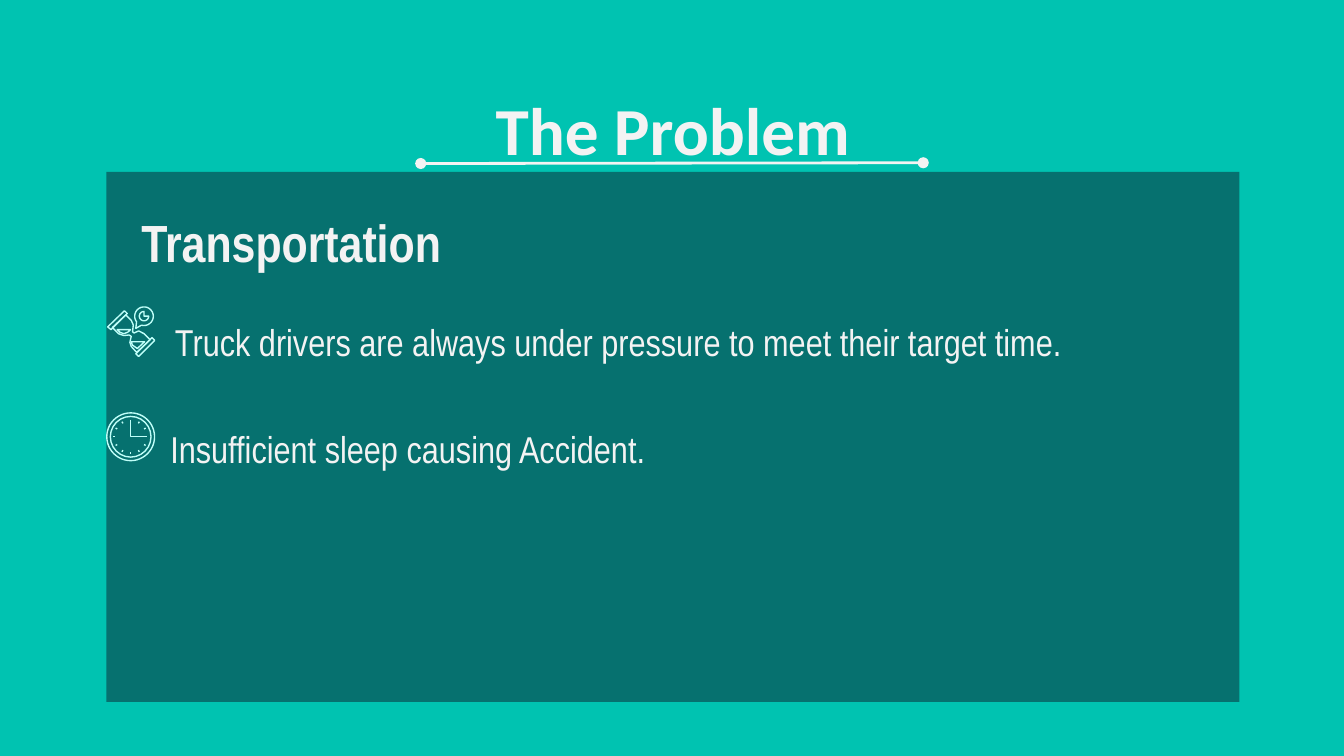
from math import cos, radians, sin

from lxml.etree import SubElement
from pptx import Presentation
from pptx.dml.color import RGBColor
from pptx.enum.shapes import MSO_CONNECTOR, MSO_SHAPE
from pptx.enum.text import MSO_ANCHOR, MSO_AUTO_SIZE, PP_ALIGN
from pptx.oxml.ns import qn
from pptx.util import Pt

TEAL = RGBColor(0x00, 0xC3, 0xB1)
DARK = RGBColor(0x0C, 0x34, 0x3D)
WHITE = RGBColor(0xF3, 0xF3, 0xF3)
MINT = RGBColor(0xC0, 0xFF, 0xF9)

LEFT, WIDTH = 57, 607
STROKE = 0.75

LINES = [
    ("Transportation", 28, True, 0, 0),
    ("Truck drivers are always under pressure to meet their target time.", 20, False, 18, 25),
    ("Insufficient sleep causing Accident.", 20, False, 15.5, 33),
]

HOURGLASS = [
    [(0.7, 11.2), (9.7, 2.5), (11.2, 4), (2.5, 12.6)],
    [(10.4, 4.7), (13.3, 7.6), (14.4, 10.1), (14, 13.7), (14.8, 14.4), (17.3, 13.3),
     (20.2, 14.8), (23.4, 18), (16.2, 24.8), (13.3, 21.6), (12.6, 19.4), (13.3, 16.2),
     (12.2, 15.5), (9.4, 15.8), (6.5, 14.8), (3.2, 11.5)],
    [(24.5, 16.9), (25.9, 18.4), (17.3, 27), (15.8, 25.6)],
    [(5.8, 12.6), (13, 12.6), (11.5, 14), (9.4, 14.8), (7.2, 14)],
    [(13.3, 19.1), (20.5, 19.1), (16.6, 22.7), (14, 20.9)],
]


def place(sp, x, y, w, h):
    sp.left, sp.top, sp.width, sp.height = Pt(x), Pt(y), Pt(w), Pt(h)


def set_frame(tf, side, top, bottom):
    tf.word_wrap = True
    tf.auto_size = MSO_AUTO_SIZE.NONE
    tf.vertical_anchor = MSO_ANCHOR.TOP
    tf.margin_left = tf.margin_right = Pt(side)
    tf.margin_top, tf.margin_bottom = Pt(top), Pt(bottom)


def set_font(p, name, size, bold):
    for r in p.runs:
        r.font.name, r.font.size, r.font.bold = name, Pt(size), bold
        r.font.color.rgb = WHITE


def add_title(s):
    sp = s.shapes.title
    place(sp, LEFT, 40, WIDTH, 45.5)
    tf = sp.text_frame
    set_frame(tf, 7.2, 7.2, 7.2)
    tf.text = "The Problem"
    p = tf.paragraphs[0]
    p.alignment = PP_ALIGN.CENTER
    set_font(p, "Calibri", 36, True)


def add_body(s):
    sp = s.placeholders[1]
    place(sp, LEFT, 92, WIDTH, 284)
    sp.fill.solid()
    sp.fill.fore_color.rgb = DARK
    color = next(sp.element.spPr.iter(qn("a:srgbClr")))
    SubElement(color, qn("a:alpha"), val="57000")
    tf = sp.text_frame
    set_frame(tf, 18.7, 20.5, 7.2)
    for i, (text, size, bold, indent, before) in enumerate(LINES):
        p = tf.paragraphs[0] if i == 0 else tf.add_paragraph()
        p.text = text
        pPr = p._p.get_or_add_pPr()
        pPr.set("marL", str(Pt(indent)))
        pPr.set("indent", "0")
        SubElement(pPr, qn("a:buNone"))
        p.alignment = PP_ALIGN.LEFT
        p.line_spacing = 1.0
        p.space_before, p.space_after = Pt(before), Pt(0)
        set_font(p, "Arial Narrow", size, bold)


def add_line(shapes, start, end, color, width):
    line = shapes.add_connector(MSO_CONNECTOR.STRAIGHT, *map(Pt, start + end))
    line.line.color.rgb = color
    line.line.width = Pt(width)
    SubElement(line.element.spPr, qn("a:effectLst"))
    return line


def add_rule(s):
    line = add_line(s.shapes, (225.4, 87.6), (494.6, 87.2), WHITE, 1.5)
    ln = line.element.spPr.find(qn("a:ln"))
    for end in ("a:headEnd", "a:tailEnd"):
        SubElement(ln, qn(end), type="oval")


def outline(sp):
    sp.fill.background()
    sp.line.color.rgb = MINT
    sp.line.width = Pt(STROKE)
    sp.shadow.inherit = False


def add_path(shapes, points, close=True):
    (x, y), *rest = [(Pt(px), Pt(py)) for px, py in points]
    builder = shapes.build_freeform(x, y)
    builder.add_line_segments(rest, close=close)
    outline(builder.convert_to_shape())


def polar(cx, cy, radius, angle):
    return cx + radius * cos(radians(angle)), cy + radius * sin(radians(angle))


def arc(cx, cy, radius, start, end, steps=24):
    return [polar(cx, cy, radius, start + (end - start) * i / steps) for i in range(steps + 1)]


def add_hourglass(s, x, y):
    shapes = s.shapes.add_group_shape().shapes
    for points in HOURGLASS:
        add_path(shapes, [(x + px, y + py) for px, py in points])
    cx, cy = x + 20.2, y + 5.4
    add_path(shapes, arc(cx, cy, 5, 143, 466) + [(x + 15.8, y + 11.9)])
    add_path(shapes, arc(cx, cy, 2.5, 0, 270) + [(cx, cy)])


def add_clock(s, cx, cy):
    shapes = s.shapes.add_group_shape().shapes
    for radius in (12.8, 10.9):
        outline(shapes.add_shape(MSO_SHAPE.OVAL, Pt(cx - radius), Pt(cy - radius),
                                 Pt(2 * radius), Pt(2 * radius)))
    for angle in range(30, 360, 30):
        if angle != 270:
            add_line(shapes, polar(cx, cy, 8.3, angle), polar(cx, cy, 9.3, angle), MINT, STROKE)
    add_path(shapes, [(cx, cy - 9), (cx, cy), (cx + 9, cy)], close=False)


def main():
    prs = Presentation()
    prs.slide_width, prs.slide_height = Pt(720), Pt(405)
    s = prs.slides.add_slide(prs.slide_layouts[1])
    s.background.fill.solid()
    s.background.fill.fore_color.rgb = TEAL
    add_title(s)
    add_body(s)
    add_rule(s)
    add_clock(s, 70, 234)
    add_hourglass(s, 57, 164)
    prs.save("out.pptx")


if __name__ == "__main__":
    main()
